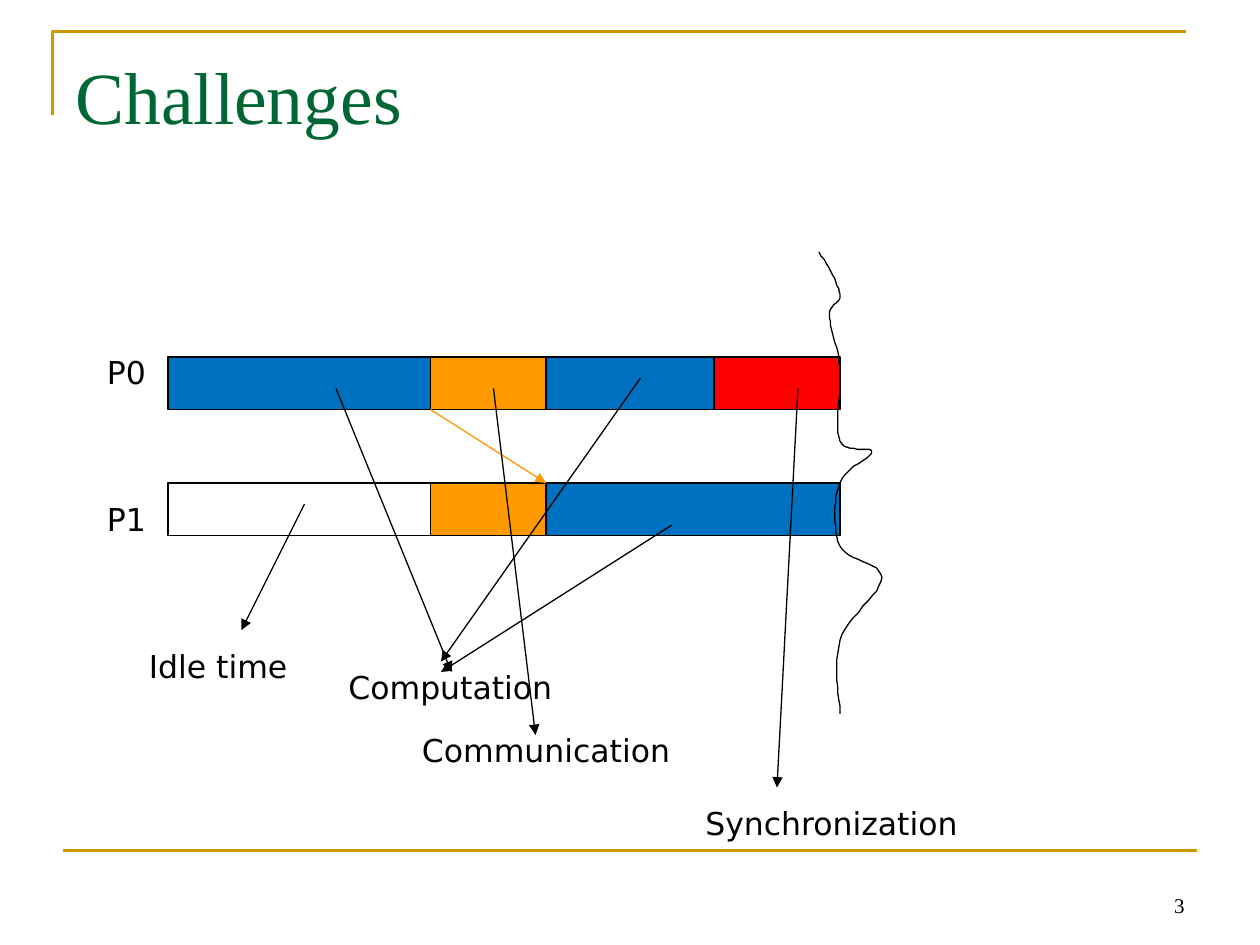
from lxml.etree import SubElement
from pptx import Presentation
from pptx.dml.color import RGBColor
from pptx.enum.shapes import MSO_CONNECTOR, MSO_SHAPE
from pptx.enum.text import MSO_ANCHOR, MSO_AUTO_SIZE, PP_ALIGN
from pptx.oxml.ns import qn
from pptx.util import Emu, Pt

PX = 7620  # EMU per px, 120 px to the inch

BLACK = RGBColor(0x00, 0x00, 0x00)
WHITE = RGBColor(0xFF, 0xFF, 0xFF)
BLUE = RGBColor(0x00, 0x70, 0xC0)
ORANGE = RGBColor(0xFF, 0x99, 0x00)
RED = RGBColor(0xFF, 0x00, 0x00)
GREEN = RGBColor(0x00, 0x66, 0x33)
GOLD = RGBColor(0xCC, 0x99, 0x00)

TITLE = "Challenges"
PAGE = "3"

# Timeline of each process: (top, [(start, end, colour)])
BAR_HEIGHT = 50
TIMELINES = [
    (340, [(160, 410, BLUE), (410, 520, ORANGE), (520, 680, BLUE), (680, 800, RED)]),
    (460, [(160, 410, WHITE), (410, 520, ORANGE), (520, 800, BLUE)]),
]

# (text, left, top, width)
LABEL_HEIGHT = 48
LABELS = [
    ("P0", 90, 330, 70),
    ("P1", 90, 470, 70),
    ("Idle time", 130, 610, 210),
    ("Computation", 320, 630, 250),
    ("Communication", 390, 690, 270),
    ("Synchronization", 660, 760, 290),
]

# (start, end, colour)
ARROWS = [
    ((410, 390), (520, 460), ORANGE),
    ((290, 480), (230, 600), BLACK),
    ((320, 370), (430, 640), BLACK),
    ((610, 360), (420, 630), BLACK),
    ((640, 500), (420, 640), BLACK),
    ((760, 370), (740, 750), BLACK),
    ((470, 370), (510, 700), BLACK),
]

# Wavy barrier: start, then cubic segments (control, control, end)
BARRIER_START = (780, 240)
BARRIER = [
    ((790, 254), (798, 270), (800, 280)),
    ((802, 290), (790, 288), (790, 300)),
    ((790, 312), (798, 330), (800, 350)),
    ((802, 370), (794, 407), (800, 420)),
    ((805, 433), (830, 424), (830, 430)),
    ((830, 437), (805, 445), (800, 460)),
    ((794, 475), (793, 505), (800, 520)),
    ((806, 535), (840, 535), (840, 550)),
    ((840, 565), (806, 588), (800, 610)),
    ((793, 631), (800, 668), (800, 680)),
]
CURVE_STEPS = 12

FRAME_CORNER = [(50, 110), (50, 30), (1130, 30)]
FOOTER_RULE = ((60, 810), (1140, 810))


def px(*lengths):
    return [Emu(n * PX) for n in lengths]


def add_text(slide, text, box, font, align=PP_ALIGN.LEFT, **frame):
    tf = slide.shapes.add_textbox(*px(*box)).text_frame
    tf.word_wrap = True
    for name, value in frame.items():
        setattr(tf, name, value)
    p = tf.paragraphs[0]
    p.alignment = align
    r = p.add_run()
    r.text = text
    r.font.color.rgb = font["color"]
    for name in ("name", "size"):
        setattr(r.font, name, font[name])


def add_bar(slide, box, color):
    sp = slide.shapes.add_shape(MSO_SHAPE.RECTANGLE, *px(*box))
    sp.shadow.inherit = False
    sp.fill.solid()
    sp.fill.fore_color.rgb = color
    sp.line.color.rgb = BLACK
    sp.line.width = Pt(0.75)


def add_line(slide, start, end, color, width, arrow=False):
    line = slide.shapes.add_connector(MSO_CONNECTOR.STRAIGHT, *px(*start, *end))
    line.line.color.rgb = color
    line.line.width = Pt(width)
    if arrow:
        SubElement(line.line._get_or_add_ln(), qn("a:tailEnd"), type="triangle")
    SubElement(line._element.spPr, qn("a:effectLst"))


def add_outline(slide, points, color, width):
    builder = slide.shapes.build_freeform(*points[0], scale=PX)
    builder.add_line_segments(points[1:], close=False)
    sp = builder.convert_to_shape()
    sp.shadow.inherit = False
    sp.fill.background()
    sp.line.color.rgb = color
    sp.line.width = Pt(width)


def curve_points(start, segments):
    """Return points along the chain of cubic Bezier segments."""
    points = [start]
    for a, b, end in segments:
        for step in range(1, CURVE_STEPS + 1):
            t = step / CURVE_STEPS
            u = 1 - t
            weights = (u**3, 3 * u * u * t, 3 * u * t * t, t**3)
            points.append(tuple(
                sum(w * c for w, c in zip(weights, axis))
                for axis in zip(start, a, b, end)
            ))
        start = end
    return points


def main():
    prs = Presentation()
    prs.slide_width, prs.slide_height = px(1200, 900)
    slide = prs.slides.add_slide(prs.slide_layouts[6])

    add_outline(slide, FRAME_CORNER, GOLD, 1.5)
    add_line(slide, *FOOTER_RULE, GOLD, 1.5)
    serif = {"name": "Times New Roman", "size": Pt(12), "color": BLACK}
    add_text(slide, PAGE, (860, 820, 280, 60), serif, PP_ALIGN.RIGHT,
             vertical_anchor=MSO_ANCHOR.BOTTOM)
    add_text(slide, TITLE, (60, 36, 1080, 119),
             {**serif, "size": Pt(42), "color": GREEN},
             vertical_anchor=MSO_ANCHOR.MIDDLE, margin_bottom=Emu(16 * PX))

    for top, bars in TIMELINES:
        for start, end, color in bars:
            add_bar(slide, (start, top, end - start, BAR_HEIGHT), color)
    add_outline(slide, curve_points(BARRIER_START, BARRIER), BLACK, 0.75)
    for start, end, color in ARROWS:
        add_line(slide, start, end, color, 0.75, arrow=True)

    sans = {"name": "DejaVu Sans", "size": Pt(18), "color": BLACK}
    for text, left, top, width in LABELS:
        add_text(slide, text, (left, top, width, LABEL_HEIGHT), sans,
                 auto_size=MSO_AUTO_SIZE.SHAPE_TO_FIT_TEXT)

    prs.save("out.pptx")


if __name__ == "__main__":
    main()
